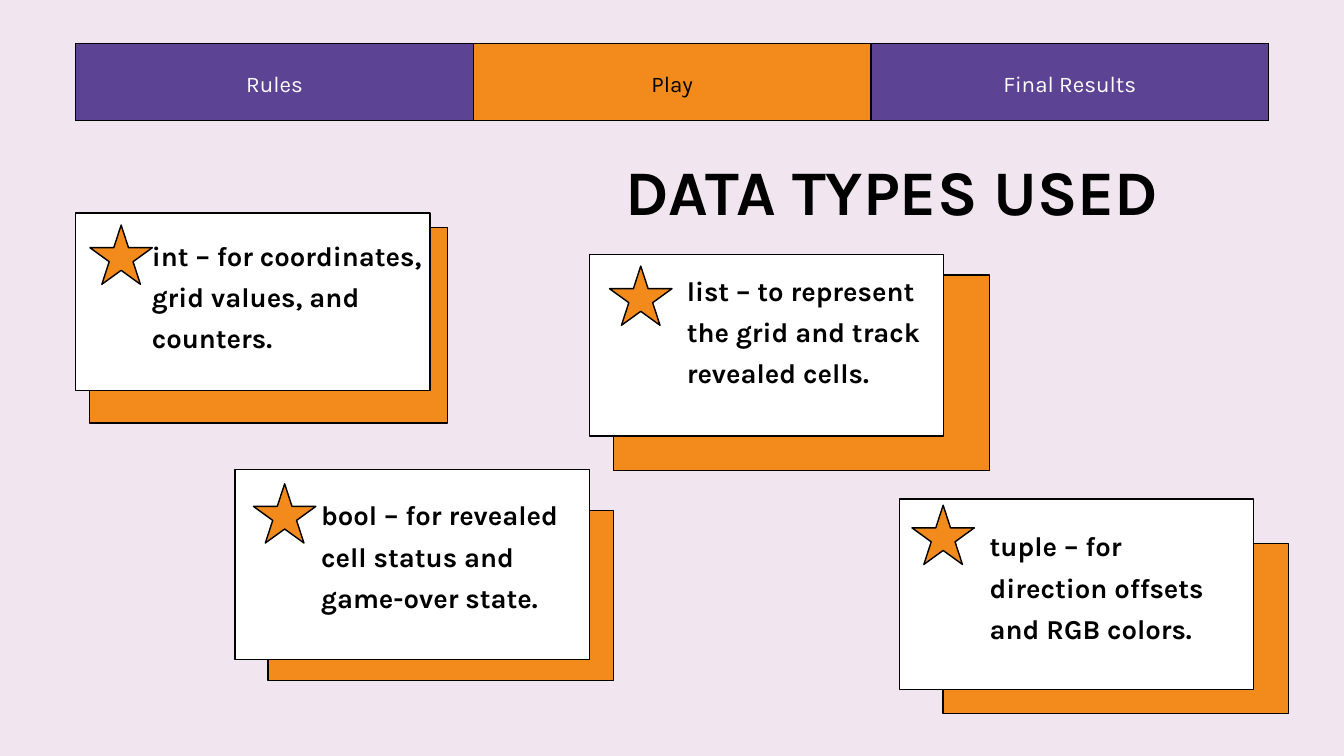
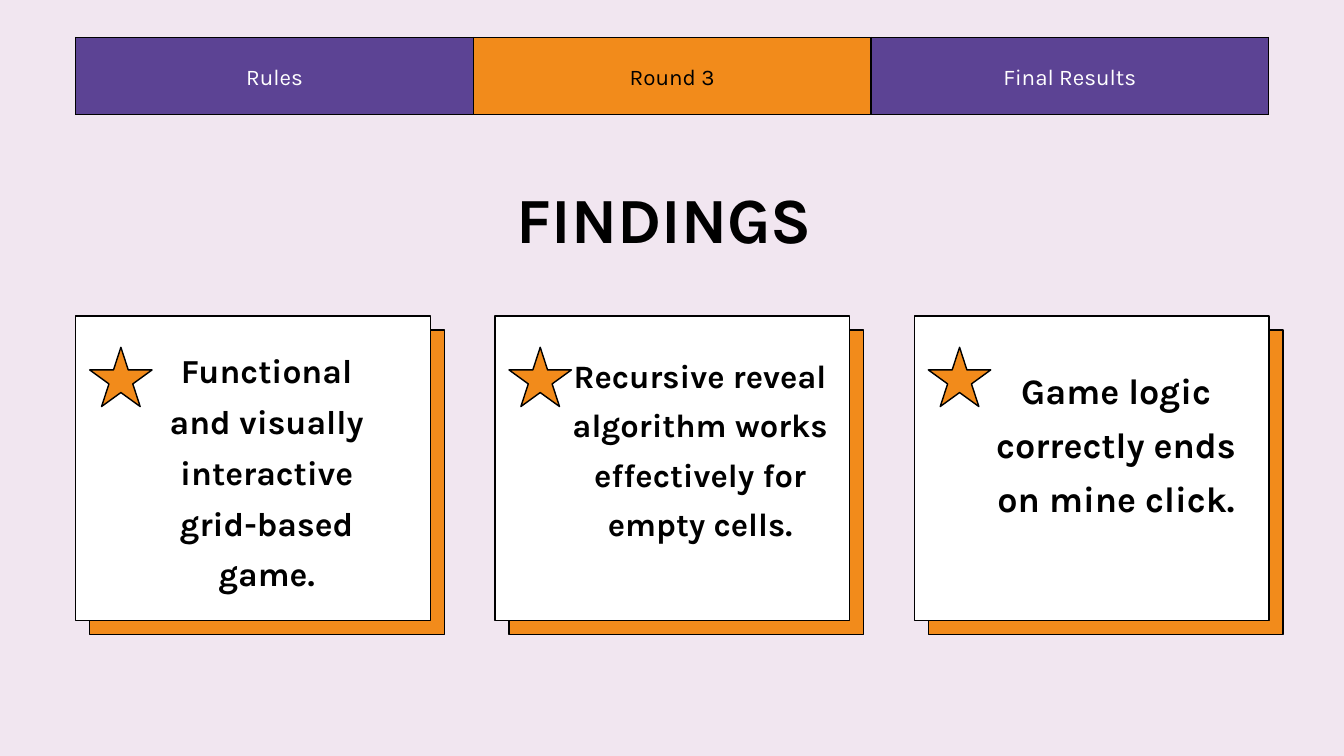
from lxml import etree
from pptx import Presentation
from pptx.dml.color import RGBColor
from pptx.enum import shapes, text
from pptx.oxml.ns import qn
from pptx.util import Cm, Pt

# Shared look
FONT = "Karla"
BLACK, WHITE = "000000", "FFFFFF"
LILAC, PURPLE, ORANGE = "F1E6F0", "5C4394", "F28B1B"
OUTLINE = 1.5
MARGIN = 2.86
TAB_SIZE = (15.03, 2.9)
TITLE_SIZE = (30.56, 3.23)
STAR_SIZE = (2.36, 2.24)

# Slide 1: boxes are (left, top, width, height) in cm, stars are (left, top)
DATA_TYPES = [
    dict(words="int – for coordinates, grid values, and counters.",
         backing=(3.38, 8.61, 13.54, 7.39), panel=(2.86, 8.05, 13.39, 6.71),
         star=(3.4, 8.51), wording=(5.74, 8.71, 11.18, 6.17)),
    dict(words="bool – for revealed cell status and game-over state.",
         backing=(10.13, 19.3, 13.06, 6.43), panel=(8.89, 17.75, 13.39, 7.19),
         star=(9.58, 18.29), wording=(12.14, 18.52, 9.55, 6.17)),
    dict(words="list – to represent the grid and track revealed cells.",
         backing=(23.19, 10.39, 14.22, 7.39), panel=(22.28, 9.63, 13.39, 6.86),
         star=(23.04, 10.06), wording=(25.96, 10.03, 9.14, 6.17)),
    dict(words="tuple – for direction offsets and RGB colors.",
         backing=(35.64, 20.55, 13.06, 6.43), panel=(33.99, 18.87, 13.39, 7.19),
         star=(34.47, 19.1), wording=(37.41, 19.69, 9.55, 6.17)),
]

# Slide 2: words, wording box, font size, line spacing
FINDINGS = [
    ("Functional and visually interactive grid-based game.",
     (5.94, 12.85, 8.28, 11.33), 36, 54.4),
    ("Recursive reveal algorithm works effectively for empty cells.",
     (21.59, 13.08, 9.75, 11), 35, 52.8),
    ("Game logic correctly ends on mine click.",
     (37.64, 13.51, 9.09, 10.08), 38.4, 58),
]
FINDING_TOP, FINDING_STEP, FINDING_SIZE = 11.94, 15.85, (13.41, 11.51)
BACKING_SHIFT, STAR_DROP = 0.53, 1.19


def rgb(value):
    return RGBColor.from_string(value)


def cm(box):
    return [Cm(length) for length in box]


def write(frame, words, size, spacing, color=BLACK, bold=True, centred=True):
    frame.text = words
    frame.word_wrap = True
    paragraph = frame.paragraphs[0]
    paragraph.alignment = text.PP_ALIGN.CENTER if centred else text.PP_ALIGN.LEFT
    paragraph.line_spacing = Pt(spacing)
    font = paragraph.runs[0].font
    font.name, font.size, font.bold = FONT, Pt(size), bold
    font.color.rgb = rgb(color)


def clear_insets(frame):
    frame.margin_left = frame.margin_right = 0
    frame.margin_top = frame.margin_bottom = 0
    frame.vertical_anchor = text.MSO_ANCHOR.TOP
    frame.auto_size = text.MSO_AUTO_SIZE.NONE


def add_outlined(slide, preset, box, color):
    shape = slide.shapes.add_shape(preset, *cm(box))
    shape.shadow.inherit = False
    shape.fill.solid()
    shape.fill.fore_color.rgb = rgb(color)
    shape.line.color.rgb = rgb(BLACK)
    shape.line.width = Pt(OUTLINE)


def add_card(slide, words, backing, panel, star, wording,
             size=29.3, spacing=44.3, centred=False):
    add_outlined(slide, shapes.MSO_SHAPE.RECTANGLE, backing, ORANGE)
    add_outlined(slide, shapes.MSO_SHAPE.RECTANGLE, panel, WHITE)
    add_outlined(slide, shapes.MSO_SHAPE.STAR_5_POINT, star + STAR_SIZE, ORANGE)
    frame = slide.shapes.add_textbox(*cm(wording)).text_frame
    clear_insets(frame)
    write(frame, words, size, spacing, centred=centred)


def add_borders(cell):
    properties = cell._tc.get_or_add_tcPr()
    for side in ("a:lnL", "a:lnR", "a:lnT", "a:lnB"):
        line = etree.SubElement(properties, qn(side), w=str(Pt(OUTLINE)))
        fill = etree.SubElement(line, qn("a:solidFill"))
        etree.SubElement(fill, qn("a:srgbClr"), val=BLACK)


def add_tabs(slide, current, top):
    labels = ("Rules", current, "Final Results")
    width, height = TAB_SIZE
    box = (MARGIN, top, width * len(labels), height)
    table = slide.shapes.add_table(1, len(labels), *cm(box)).table
    table.first_row = table.horz_banding = False
    for column, label in enumerate(labels):
        table.columns[column].width = Cm(width)
        cell = table.cell(0, column)
        active = label == current
        add_borders(cell)
        cell.fill.solid()
        cell.fill.fore_color.rgb = rgb(ORANGE if active else PURPLE)
        cell.vertical_anchor = text.MSO_ANCHOR.MIDDLE
        cell.margin_left = cell.margin_right = Cm(0.53)
        cell.margin_top = cell.margin_bottom = Cm(0.53)
        write(cell.text_frame, label, 24, 33.6, BLACK if active else WHITE, bold=False)


def add_slide(prs, title, title_at, size, spacing, tab, tab_top):
    slide = prs.slides.add_slide(prs.slide_layouts.get_by_name("Title Only"))
    heading = slide.shapes.title
    heading.left, heading.top, heading.width, heading.height = cm(title_at + TITLE_SIZE)
    clear_insets(heading.text_frame)
    write(heading.text_frame, title, size, spacing)
    add_tabs(slide, tab, tab_top)
    return slide


def main():
    prs = Presentation()
    prs.slide_width, prs.slide_height = Cm(50.8), Cm(28.58)
    background = prs.slide_master.background.fill
    background.solid()
    background.fore_color.rgb = rgb(LILAC)

    # Data types
    slide = add_slide(prs, "DATA TYPES USED", (18.44, 5.28), 68, 95.2, "Play", 1.65)
    for card in DATA_TYPES:
        add_card(slide, **card)

    # Findings
    slide = add_slide(prs, "FINDINGS", (9.83, 6.3), 69, 96.6, "Round 3", 1.42)
    for index, (words, wording, size, spacing) in enumerate(FINDINGS):
        left = MARGIN + index * FINDING_STEP
        inner = left + BACKING_SHIFT
        add_card(slide, words,
                 backing=(inner, FINDING_TOP + BACKING_SHIFT) + FINDING_SIZE,
                 panel=(left, FINDING_TOP) + FINDING_SIZE,
                 star=(inner, FINDING_TOP + STAR_DROP),
                 wording=wording, size=size, spacing=spacing, centred=True)

    prs.save("out.pptx")


if __name__ == "__main__":
    main()
